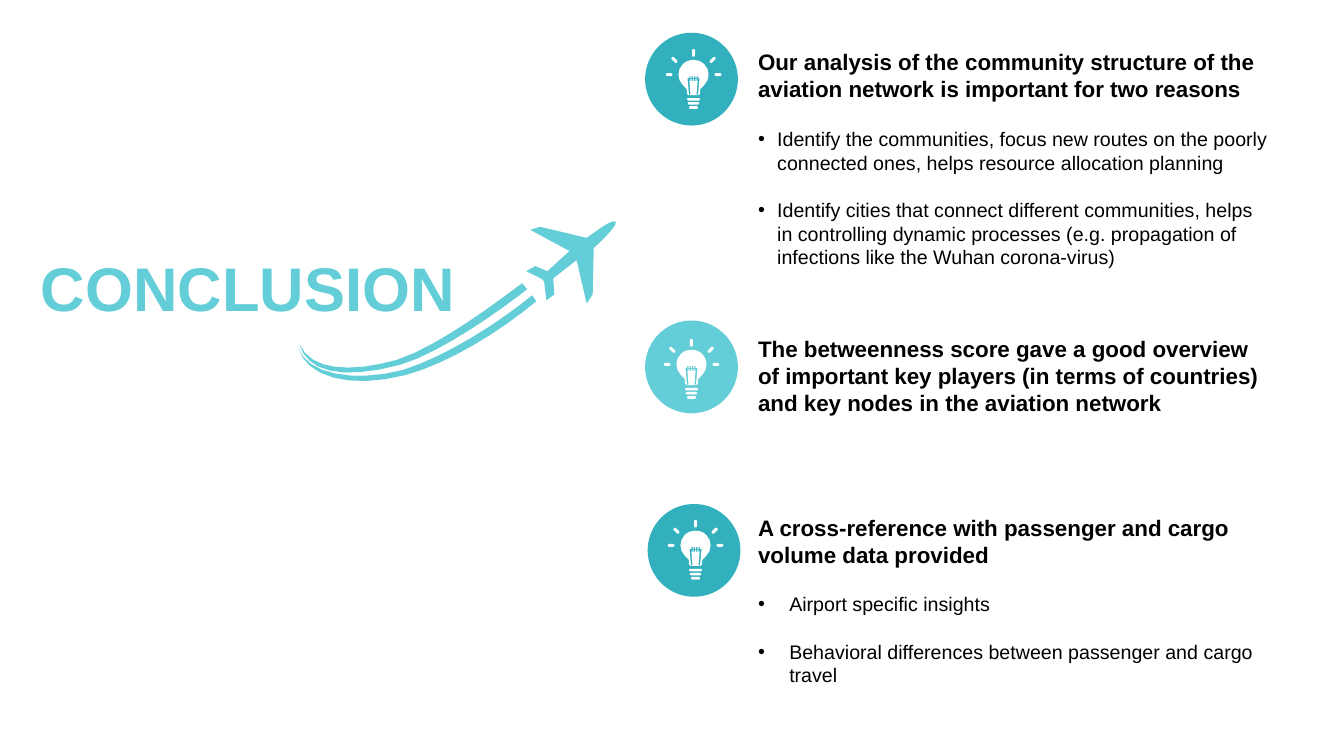
import dataclasses
import math

import lxml.etree
import pptx
import pptx.dml.color
import pptx.enum.shapes
import pptx.enum.text
import pptx.oxml.ns
import pptx.util

SHAPE = pptx.enum.shapes.MSO_SHAPE
ANCHOR = pptx.enum.text.MSO_ANCHOR
CELL = pptx.util.Inches(0.1)  # the slide is a grid of 133.3 columns by 75 rows


@dataclasses.dataclass(frozen=True)
class Theme:
    font: str = "Arial"
    dark: str = "32B0BE"
    light: str = "64CED8"
    white: str = "FFFFFF"
    text: str = "000000"
    title_size: int = 44
    heading_size: int = 16
    list_size: int = 14
    list_gap: int = 17


THEME = Theme()

# Outlines in grid cells: two numbers end a line, six numbers end a curve
PLANE = [(24.6, 8.3), (24.4, 6.6), (24.3, 6.2, 24.3, 6.3, 24, 6.1), (22.6, 5.4),
         (23.5, 4.9), (24.7, 5.4), (26.9, 3.4), (23, 1.3), (24, 1), (28.6, 2.1),
         (29.5, 1.5, 31.2, 0.1, 31.5, 0.5), (31.7, 0.8, 30.1, 2.4, 29.3, 3.1),
         (29.2, 7.7), (28.6, 8.6), (27.6, 4.3), (25.3, 6.1),
         (25.3, 6.6, 25.4, 7.7, 25.4, 7.7)]
UPPER_TRAIL = [(22.7, 7.2), (20.3, 9.1, 14.2, 13.5, 10.1, 14.7),
               (4.1, 16.3, 0.8, 15.3, 0.1, 12.6), (1.2, 15.3, 5.2, 15.5, 9.8, 14.2),
               (14, 12.8, 19.8, 8.4, 22.2, 6.6)]
LOWER_TRAIL = [(23.6, 8.4), (20, 11.4, 15, 14.5, 10.7, 15.7),
               (5, 17.2, 0.7, 15.8, 0, 13), (0.8, 15.6, 5.5, 16.5, 10.4, 15.2),
               (14.8, 13.8, 19.9, 10.5, 23.2, 7.8)]
GLASS = [(0, 1.1), (0.35, 1.1, 0.75, 1.2, 1.05, 1.5), (1.65, 2.1, 1.65, 3, 1.05, 3.6),
         (0.65, 4), (0.65, 4.4), (0.65, 4.5, 0.55, 4.6, 0.4, 4.6), (-0.4, 4.6),
         (-0.55, 4.6, -0.65, 4.5, -0.65, 4.4), (-0.65, 4), (-1.05, 3.6),
         (-1.65, 3, -1.65, 2.1, -1.05, 1.5), (-0.75, 1.2, -0.35, 1.1, 0, 1.1)]
HALF_FILAMENT = [(-0.06, 2.9), (-0.06, 2.7), (-0.18, 2.7), (-0.18, 2.9), (-0.3, 2.9),
                 (-0.3, 2.7), (-0.42, 2.7), (-0.42, 2.9), (-0.6, 2.9), (-0.45, 4.55),
                 (-0.3, 4.55), (-0.42, 3), (-0.4, 3.2), (-0.3, 3.2), (-0.3, 3),
                 (-0.18, 3), (-0.18, 3.2), (-0.06, 3.2), (-0.06, 3)]
FILAMENT = HALF_FILAMENT + [(-x, y) for x, y in reversed(HALF_FILAMENT)]
# Rays and socket rings: centre x, centre y, length, thickness, angle
BULB_BARS = [(0, 0.4, 0.8, 0.3, 90), (-2.42, 2.55, 0.7, 0.3, 0), (2.42, 2.55, 0.7, 0.3, 0),
             (-1.9, 1.1, 0.75, 0.3, 45), (1.9, 1.1, 0.75, 0.3, -45),
             (0, 5, 1.3, 0.25, 0), (0, 5.4, 1.15, 0.25, 0), (0, 5.82, 0.9, 0.28, 0)]


def rgb(value):
    return pptx.dml.color.RGBColor.from_string(value)


def cells(*lengths):
    return [round(n * CELL) for n in lengths]


def apply(obj, formats):
    for name, value in formats.items():
        setattr(obj, name, value)


def paint(sp, colour):
    sp.shadow.inherit = False
    sp.fill.solid()
    sp.fill.fore_color.rgb = rgb(colour)
    sp.line.fill.background()


def flatten(path):
    """Turn lines and cubic curves into points, more of them on long curves."""
    points = [path[0]]
    for part in path[1:]:
        if len(part) == 2:
            points.append(part)
            continue
        curve = [points[-1], part[:2], part[2:4], part[4:]]
        steps = min(8, 2 + round(math.dist(curve[0], curve[3])))
        for i in range(1, steps + 1):
            t = i / steps
            weights = ((1 - t) ** 3, 3 * t * (1 - t) ** 2, 3 * t * t * (1 - t), t ** 3)
            points.append(tuple(sum(w * pt[k] for w, pt in zip(weights, curve))
                                for k in (0, 1)))
    return points


def capsule(cx, cy, length, thickness, angle):
    """Bar with round ends, turned about its centre."""
    radius, turn = thickness / 2, math.radians(angle)
    points = []
    for end, start in ((1, -90), (-1, 90)):
        for step in range(0, 181, 60):
            a = math.radians(start + step)
            x = end * (length / 2 - radius) + radius * math.cos(a)
            y = radius * math.sin(a)
            points.append((cx + x * math.cos(turn) - y * math.sin(turn),
                           cy + x * math.sin(turn) + y * math.cos(turn)))
    return points


BULB = [GLASS, FILAMENT] + [capsule(*bar) for bar in BULB_BARS]


def outline(slide, left, top, paths, colour):
    """Draw closed paths as one filled shape; inner paths become holes."""
    builder = None
    for path in paths:
        points = [cells(left + x, top + y) for x, y in flatten(path)]
        if builder is None:
            builder = slide.shapes.build_freeform(*points[0], scale=1.0)
        else:
            builder.move_to(*points[0])
        builder.add_line_segments(points[1:], close=True)
    paint(builder.convert_to_shape(), colour)


def set_bullet(p, indent):
    """Give the paragraph a hanging bullet, or none when indent is 0."""
    pPr = p._p.get_or_add_pPr()
    pPr.set("marL", str(pptx.util.Inches(indent)))
    pPr.set("indent", str(-pptx.util.Inches(indent)))
    qn = pptx.oxml.ns.qn
    if indent:
        lxml.etree.SubElement(pPr, qn("a:buFont")).set("typeface", THEME.font)
        lxml.etree.SubElement(pPr, qn("a:buChar")).set("char", "•")
    else:
        lxml.etree.SubElement(pPr, qn("a:buNone"))


def fill_text(holder, box, lines, size, indent=0, colour=THEME.text, anchor=ANCHOR.TOP):
    """Place a placeholder; lines are (text, is_heading) pairs."""
    apply(holder, dict(zip(("left", "top", "width", "height"), cells(*box))))
    tf = holder.text_frame
    apply(tf, {"word_wrap": True, "vertical_anchor": anchor,
               "auto_size": pptx.enum.text.MSO_AUTO_SIZE.NONE})
    for i, (text, is_heading) in enumerate(lines):
        p = tf.paragraphs[0] if i == 0 else tf.add_paragraph()
        apply(p, {"alignment": pptx.enum.text.PP_ALIGN.LEFT,
                  "space_before": pptx.util.Pt(THEME.list_gap if i else 0)})
        set_bullet(p, 0 if is_heading else indent)
        r = p.add_run()
        r.text = text
        apply(r.font, {"name": THEME.font, "bold": is_heading,
                       "size": pptx.util.Pt(size if is_heading else THEME.list_size)})
        r.font.color.rgb = rgb(colour)


def airplane(slide, left, top):
    """Plane with its two curved trails."""
    for path in (PLANE, UPPER_TRAIL, LOWER_TRAIL):
        outline(slide, left, top, [path], THEME.light)


def idea_icon(slide, left, top, colour, bulb_x, bulb_y):
    """Disc with a light bulb, whose top middle is offset from the disc."""
    paint(slide.shapes.add_shape(SHAPE.OVAL, *cells(left, top, 9.2, 9.2)), colour)
    outline(slide, left + bulb_x, top + bulb_y, BULB, THEME.white)


def conclusion_slide(prs):
    slide = prs.slides.add_slide(prs.slide_layouts.get_by_name("Comparison"))
    holders = {sp.placeholder_format.idx: sp for sp in slide.placeholders}

    # Left: title and airplane
    fill_text(holders[0], (3.05, 21.9, 43.5, 13.2), [("CONCLUSION", True)],
              THEME.title_size, colour=THEME.light, anchor=ANCHOR.MIDDLE)
    airplane(slide, 29.6, 21.5)

    # Right: one icon for each finding
    for icon in ((64, 3.25, THEME.dark, 4.8, 1.6), (64, 31.8, THEME.light, 4.6, 1.8),
                 (64.25, 50, THEME.dark, 4.75, 1.55)):
        idea_icon(slide, *icon)

    # Right: findings, as placeholder, top, height, bullet indent, lines
    findings = [
        (1, 4.3, 9.3, 0, [("Our analysis of the community structure of the aviation "
                           "network is important for two reasons", True)]),
        (2, 12.1, 15.8, 0.19, [
            ("Identify the communities, focus new routes on the poorly connected ones, "
             "helps resource allocation planning", False),
            ("Identify cities that connect different communities, helps in controlling "
             "dynamic processes (e.g. propagation of infections like the Wuhan "
             "corona-virus)", False)]),
        (3, 32.75, 11.1, 0, [("The betweenness score gave a good overview of important key "
                              "players (in terms of countries) and key nodes in the "
                              "aviation network", True)]),
        (4, 50.55, 11.1, 0.31, [
            ("A cross-reference with passenger and cargo volume data provided", True),
            ("Airport specific insights", False),
            ("Behavioral differences between passenger and cargo travel", False)]),
    ]
    for idx, top, height, indent, lines in findings:
        fill_text(holders[idx], (74.2, top, 53.1, height), lines,
                  THEME.heading_size, indent)


def main():
    prs = pptx.Presentation()
    prs.slide_width, prs.slide_height = cells(133.33, 75)
    conclusion_slide(prs)
    prs.save("out.pptx")


if __name__ == "__main__":
    main()
